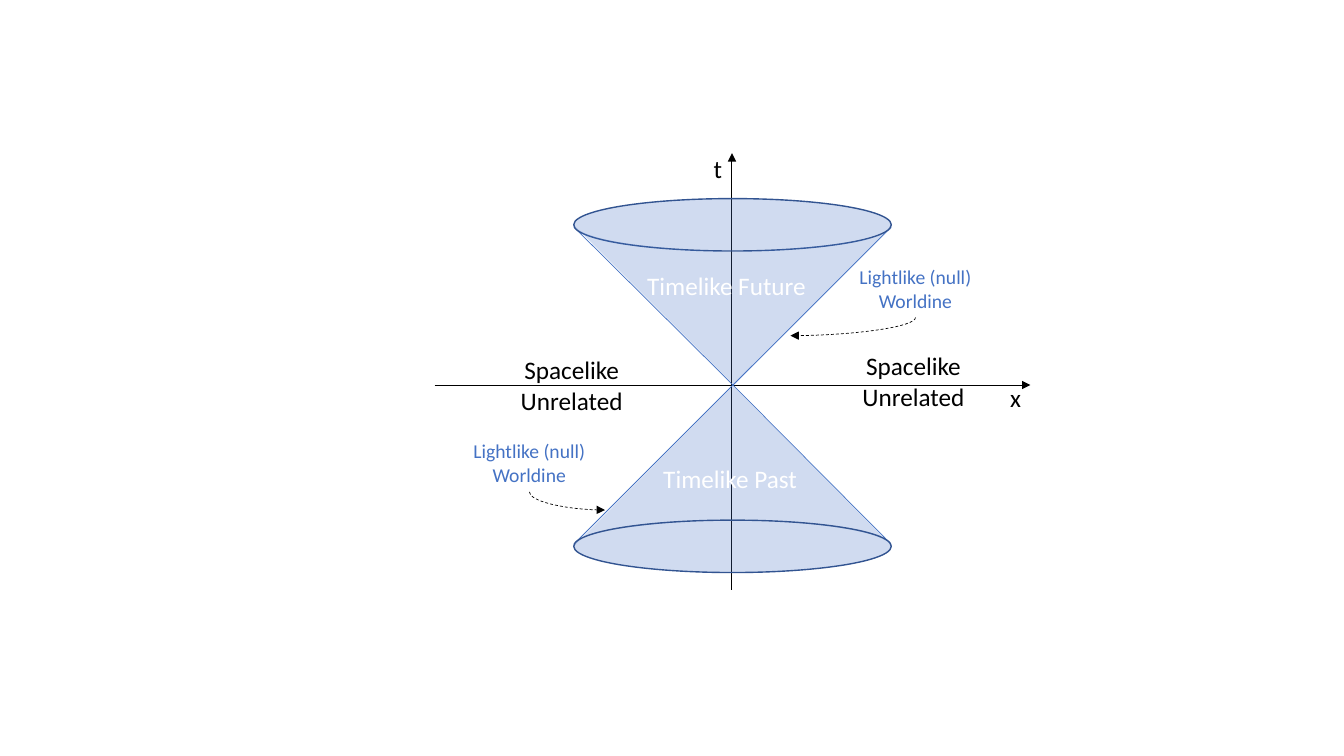
from lxml import etree
from pptx import Presentation
from pptx import util as u
from pptx.dml.color import RGBColor
from pptx.enum import dml, shapes, text
from pptx.oxml import ns

BLACK = RGBColor(0x00, 0x00, 0x00)
WHITE = RGBColor(0xFF, 0xFF, 0xFF)
BLUE = RGBColor(0x44, 0x72, 0xC4)
RIM_BLUE = RGBColor(0x32, 0x54, 0x91)

APEX = (7.27, 3.82)
CONE_LEFT, CONE_RIGHT = 5.69, 8.84
CONE_TOP, CONE_BOTTOM = 2.25, 5.4


def inches(*values):
    return [u.Inches(value) for value in values]


def bezier(start, first, second, end, steps=16):
    """Points along a cubic curve, without its start."""
    points = []
    for step in range(1, steps + 1):
        t = step / steps
        weights = ((1 - t) ** 3, 3 * t * (1 - t) ** 2, 3 * t * t * (1 - t), t ** 3)
        points.append(tuple(sum(w * c for w, c in zip(weights, axis))
                            for axis in zip(start, first, second, end)))
    return points


class Diagram:
    font = "Calibri"
    alpha = 25

    def __init__(self, slide):
        self.slide = slide

    def tint(self, shape):
        """Give the shape a see-through blue fill."""
        shape.shadow.inherit = False
        shape.fill.solid()
        shape.fill.fore_color.rgb = BLUE
        color = shape.element.spPr.find(ns.qn("a:solidFill")).find(ns.qn("a:srgbClr"))
        etree.SubElement(color, ns.qn("a:alpha"), val=str(self.alpha * 1000))

    def finish_line(self, connector, color, width, arrow=False):
        connector.line.color.rgb = color
        connector.line.width = u.Pt(width)
        properties = connector.element.spPr
        if arrow:
            etree.SubElement(properties.find(ns.qn("a:ln")),
                             ns.qn("a:tailEnd"), type="triangle")
        etree.SubElement(properties, ns.qn("a:effectLst"))

    def line(self, start, end, color=BLUE, width=0.5, arrow=False):
        connector = self.slide.shapes.add_connector(
            shapes.MSO_CONNECTOR.STRAIGHT, *inches(*start, *end))
        self.finish_line(connector, color, width, arrow)

    def pointer(self, start, end):
        """Dashed quarter curve that leaves downwards and arrives sideways."""
        (x1, y1), (x2, y2) = start, end
        middle_x, middle_y = (x1 + x2) / 2, (y1 + y2) / 2
        half_width, half_height = abs(y2 - y1) / 2, abs(x2 - x1) / 2
        degrees = 90
        if x2 > x1:
            half_width, degrees = -half_width, 270
        connector = self.slide.shapes.add_connector(
            shapes.MSO_CONNECTOR.CURVE,
            *inches(middle_x - half_width, middle_y - half_height,
                    middle_x + half_width, middle_y + half_height))
        properties = connector.element.spPr
        properties.find(ns.qn("a:prstGeom")).set("prst", "curvedConnector2")
        properties.find(ns.qn("a:xfrm")).set("rot", str(degrees * 60000))
        connector.line.dash_style = dml.MSO_LINE.DASH
        self.finish_line(connector, BLACK, 0.5, arrow=True)

    def rim(self, top):
        ellipse = self.slide.shapes.add_shape(
            shapes.MSO_SHAPE.OVAL,
            *inches(CONE_LEFT, top, CONE_RIGHT - CONE_LEFT, 0.52))
        self.tint(ellipse)
        ellipse.line.color.rgb = RIM_BLUE
        ellipse.line.width = u.Pt(1)

    def cone_side(self, points):
        """Cone surface between the apex and the rim."""
        corners = [inches(*point) for point in points]
        builder = self.slide.shapes.build_freeform(*corners[0])
        builder.add_line_segments(corners[1:], close=True)
        side = builder.convert_to_shape()
        self.tint(side)
        side.line.fill.background()

    def label(self, lines, left, top, width, height, size=18, color=BLACK,
              align=text.PP_ALIGN.LEFT):
        box = self.slide.shapes.add_textbox(*inches(left, top, width, height))
        frame = box.text_frame
        frame.word_wrap = True
        frame.auto_size = text.MSO_AUTO_SIZE.SHAPE_TO_FIT_TEXT
        frame.text = "\n".join(lines)
        style = {"name": self.font, "size": u.Pt(size)}
        for paragraph in frame.paragraphs:
            paragraph.alignment = align
            font = paragraph.runs[0].font
            for name, value in style.items():
                setattr(font, name, value)
            font.color.rgb = color


def main():
    presentation = Presentation()
    presentation.slide_width = u.Inches(13.33)
    presentation.slide_height = u.Inches(7.5)
    diagram = Diagram(presentation.slides.add_slide(presentation.slide_layouts[6]))
    center = text.PP_ALIGN.CENTER

    diagram.line((4.31, 3.82), (10.22, 3.82), BLACK, 0.5, arrow=True)
    diagram.line((7.26, 5.85), (7.26, 1.52), BLACK, 0.75, arrow=True)
    for x in (CONE_LEFT, CONE_RIGHT):
        for y in (CONE_TOP, CONE_BOTTOM):
            diagram.line((x, y), APEX)

    diagram.rim(1.97)
    past = bezier((8.84, 5.41), (8.76, 5.29), (8.3, 5.19), (7.27, 5.15))
    past += bezier((7.27, 5.15), (6.31, 5.19), (5.73, 5.28), (5.7, 5.41))
    diagram.cone_side([(7.27, 3.83), (8.84, 5.41)] + past)
    future = bezier((5.71, 2.25), (5.78, 2.36), (6.24, 2.46), (7.27, 2.5))
    future += bezier((7.27, 2.5), (8.23, 2.46), (8.81, 2.37), (8.85, 2.25))
    diagram.cone_side([(7.28, 3.82), (5.71, 2.25)] + future)
    diagram.rim(5.16)

    diagram.label(["Timelike Past"], 6.48, 4.55, 1.57, 0.4, color=WHITE)
    diagram.label(["Timelike Future"], 6.32, 2.63, 1.92, 0.4, color=WHITE)
    for left, top in ((8.38, 3.43), (4.99, 3.47)):
        diagram.label(["Spacelike Unrelated"], left, top, 1.36, 0.71, align=center)

    for left, top, tip in ((8.31, 2.58, (7.84, 3.33)), (4.48, 4.31, (6, 5.06))):
        diagram.label(["Lightlike (null)", "Worldine"], left, top, 1.54, 0.57,
                      size=14, color=BLUE, align=center)
        diagram.pointer((left + 0.77, top + 0.57), tip)

    for name, left, top in (("t", 6.98, 1.47), ("x", 9.92, 3.74)):
        diagram.label([name], left, top, 0.39, 0.4)

    presentation.save("out.pptx")


if __name__ == "__main__":
    main()
